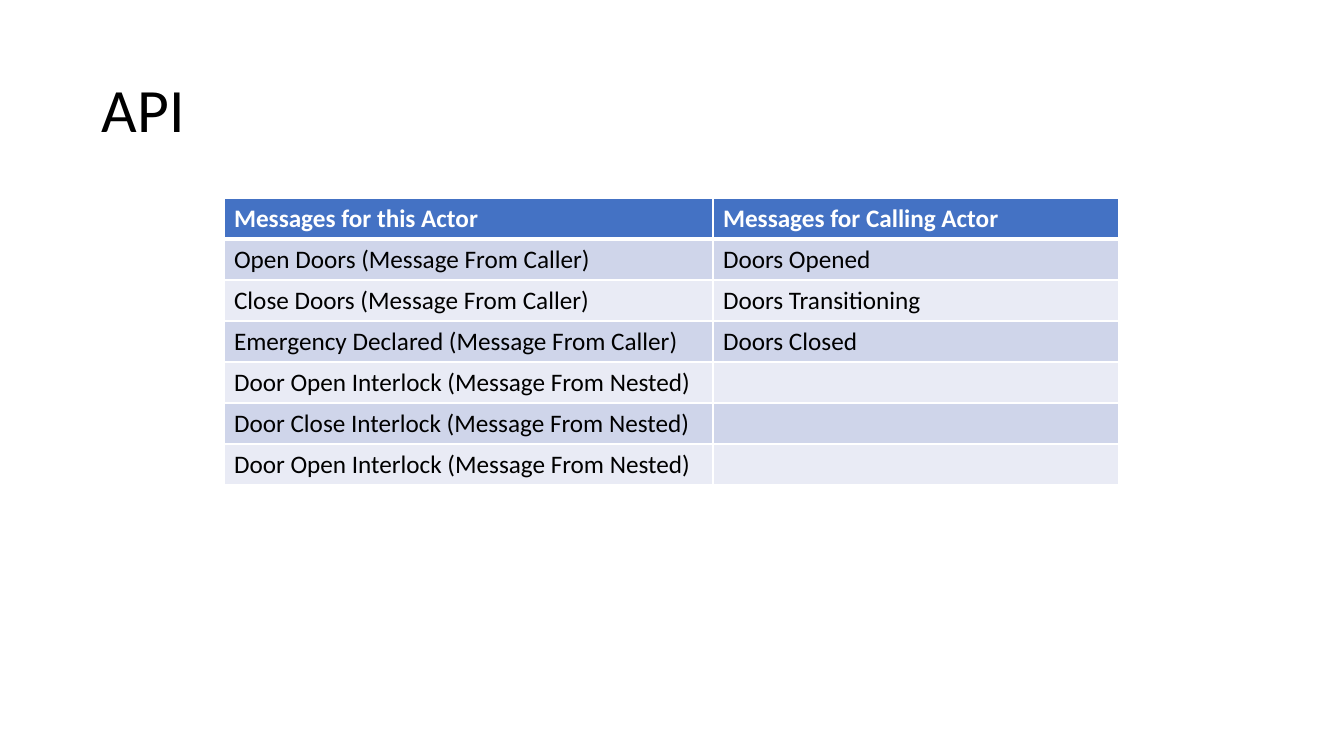
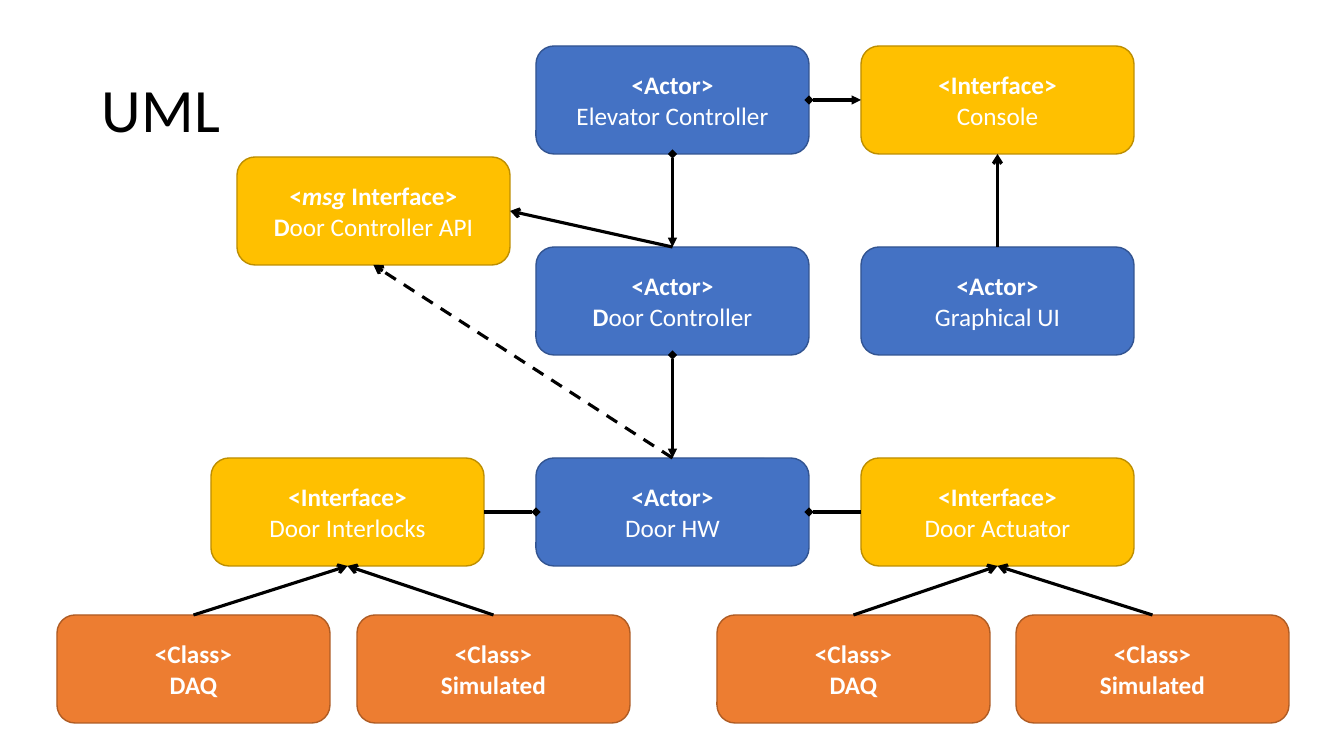
from pptx import Presentation
from pptx.dml.color import RGBColor
from pptx.enum.dml import MSO_LINE
from pptx.enum.shapes import MSO_CONNECTOR, MSO_SHAPE
from pptx.enum.text import MSO_ANCHOR, PP_ALIGN
from pptx.oxml.ns import qn
from pptx.util import Pt
from lxml.etree import SubElement

# Shared style
SCALE = 914400 / 100.8
FONT = "Calibri"
BLACK = RGBColor(0, 0, 0)
WHITE = RGBColor(255, 255, 255)
BLUE = RGBColor(0x44, 0x72, 0xC4)
NAVY = RGBColor(0x32, 0x54, 0x91)
GOLD = RGBColor(0xFF, 0xC0, 0x00)
OCHRE = RGBColor(0xBD, 0x8E, 0x00)
ORANGE = RGBColor(0xED, 0x7D, 0x31)
RUST = RGBColor(0xAF, 0x5C, 0x24)
BANDS = (RGBColor(0xE9, 0xEB, 0xF5), RGBColor(0xCF, 0xD5, 0xEA))

# Content of the table
MESSAGES = [
    ("Messages for this Actor", "Messages for Calling Actor"),
    ("Open Doors (Message From Caller)", "Doors Opened"),
    ("Close Doors (Message From Caller)", "Doors Transitioning"),
    ("Emergency Declared (Message From Caller)", "Doors Closed"),
    ("Door Open Interlock (Message From Nested)", ""),
    ("Door Close Interlock (Message From Nested)", ""),
    ("Door Open Interlock (Message From Nested)", ""),
]
COLS, ROW = (489, 406), 41

# Content of the diagram: runs are (text, style), b bold, i italic
ACTOR = [("<Actor>", "b")]
FACE = [("<Interface>", "b")]
CLASS = [("<Class>", "b")]
MSG = [("<", "b"), ("msg ", "bi"), ("Interface>", "b")]
KINDS = {"actor": (BLUE, NAVY), "face": (GOLD, OCHRE), "class": (ORANGE, RUST)}
WIDE, HIGH = 273, 108
MID, RIGHT = 536, 861
TOP, UPPER, LOWER, BASE = 46, 247, 458, 615
BOXES = {
    "door": ("actor", MID, UPPER, ACTOR, [("D", "b"), ("oor Controller", "")]),
    "lift": ("actor", MID, TOP, ACTOR, [("Elevator Controller", "")]),
    "hardware": ("actor", MID, LOWER, ACTOR, [("Door HW", "")]),
    "locks": ("face", 211, LOWER, FACE, [("Door Interlocks", "")]),
    "lock daq": ("class", 57, BASE, CLASS, [("DAQ", "b")]),
    "lock sim": ("class", 357, BASE, CLASS, [("Simulated", "b")]),
    "console": ("face", RIGHT, TOP, FACE, [("Console", "")]),
    "screen": ("actor", RIGHT, UPPER, ACTOR, [("Graphical UI", "")]),
    "motor": ("face", RIGHT, LOWER, FACE, [("Door Actuator", "")]),
    "motor daq": ("class", 717, BASE, CLASS, [("DAQ", "b")]),
    "motor sim": ("class", 1016, BASE, CLASS, [("Simulated", "b")]),
    "api": ("face", 237, 157, MSG, [("D", "b"), ("oor Controller API", "")]),
}
SIDES = ("top", "left", "bottom", "right")  # order of connection sites
OWNS = ("diamond", "triangle", False)
PART = ("diamond", None, False)
IS = (None, "arrow", False)
USES = (None, "arrow", True)
LINKS = [
    ("door", "bottom", "hardware", "top", OWNS),
    ("lift", "bottom", "door", "top", OWNS),
    ("hardware", "left", "locks", "right", PART),
    ("lock daq", "top", "locks", "bottom", IS),
    ("lock sim", "top", "locks", "bottom", IS),
    ("lift", "right", "console", "left", OWNS),
    ("screen", "top", "console", "bottom", IS),
    ("hardware", "right", "motor", "left", PART),
    ("motor daq", "top", "motor", "bottom", IS),
    ("motor sim", "top", "motor", "bottom", IS),
    ("door", "top", "api", "right", IS),
    ("hardware", "top", "api", "bottom", USES),
]


def px(*values):
    return [round(v * SCALE) for v in values]


def write(para, text, size, color, style=""):
    run = para.add_run()
    run.text = text
    font = run.font
    font.name, font.size = FONT, Pt(size)
    font.bold, font.italic = "b" in style, "i" in style
    font.color.rgb = color


def start(title):
    slide = deck.slides.add_slide(deck.slide_layouts[6])
    frame = slide.shapes.add_textbox(*px(92, 40, 1160, 146)).text_frame
    frame.word_wrap = True
    frame.vertical_anchor = MSO_ANCHOR.MIDDLE
    para = frame.paragraphs[0]
    para.line_spacing = 0.9
    write(para, title, 44, BLACK)
    return slide


def border(cell, row):
    props = cell._tc.get_or_add_tcPr()
    thick = {"lnT": row == 1, "lnB": row == 0}
    for spot, name in enumerate(("lnL", "lnR", "lnT", "lnB")):
        width = Pt(3 if thick.get(name) else 1)
        line = SubElement(props, qn("a:" + name), w=str(width))
        fill = SubElement(line, qn("a:solidFill"))
        SubElement(fill, qn("a:srgbClr"), val=str(WHITE))
        props.insert(spot, line)


def add_box(slide, kind, left, top, *lines):
    box = slide.shapes.add_shape(MSO_SHAPE.ROUNDED_RECTANGLE, *px(left, top, WIDE, HIGH))
    box.shadow.inherit = False
    fill, edge = KINDS[kind]
    box.fill.solid()
    box.fill.fore_color.rgb = fill
    box.line.color.rgb = edge
    box.line.width = Pt(1)
    frame = box.text_frame
    frame.word_wrap = True
    frame.vertical_anchor = MSO_ANCHOR.MIDDLE
    for spot, runs in enumerate(lines):
        para = frame.add_paragraph() if spot else frame.paragraphs[0]
        para.alignment = PP_ALIGN.CENTER
        for text, style in runs:
            write(para, text, 18, WHITE, style)
    return box


def link(slide, first, out, last, into, look):
    head, tail, dashed = look
    wire = slide.shapes.add_connector(MSO_CONNECTOR.STRAIGHT, 0, 0, 0, 0)
    wire.begin_connect(first, SIDES.index(out))
    wire.end_connect(last, SIDES.index(into))
    wire.line.color.rgb = BLACK
    wire.line.width = Pt(2.25)
    if dashed:
        wire.line.dash_style = MSO_LINE.DASH
    props = wire.element.spPr
    line = props.find(qn("a:ln"))
    for name, tip in (("a:headEnd", head), ("a:tailEnd", tail)):
        if tip:
            SubElement(line, qn(name), type=tip)
    SubElement(props, qn("a:effectLst"))


deck = Presentation()
deck.slide_width, deck.slide_height = px(1344, 756)

# API table
slide = start("API")
area = px(224, 198, sum(COLS), ROW * len(MESSAGES))
table = slide.shapes.add_table(len(MESSAGES), len(COLS), *area).table
for col, width in zip(table.columns, px(*COLS)):
    col.width = width
for r, texts in enumerate(MESSAGES):
    table.rows[r].height = px(ROW)[0]
    for c, text in enumerate(texts):
        cell = table.cell(r, c)
        cell.fill.solid()
        cell.fill.fore_color.rgb = BANDS[r % 2] if r else BLUE
        border(cell, r)
        if text:
            write(cell.text_frame.paragraphs[0], text, 18,
                  BLACK if r else WHITE, "" if r else "b")

# UML diagram
slide = start("UML")
boxes = {name: add_box(slide, *parts) for name, parts in BOXES.items()}
for first, out, last, into, look in LINKS:
    link(slide, boxes[first], out, boxes[last], into, look)

deck.save("out.pptx")
